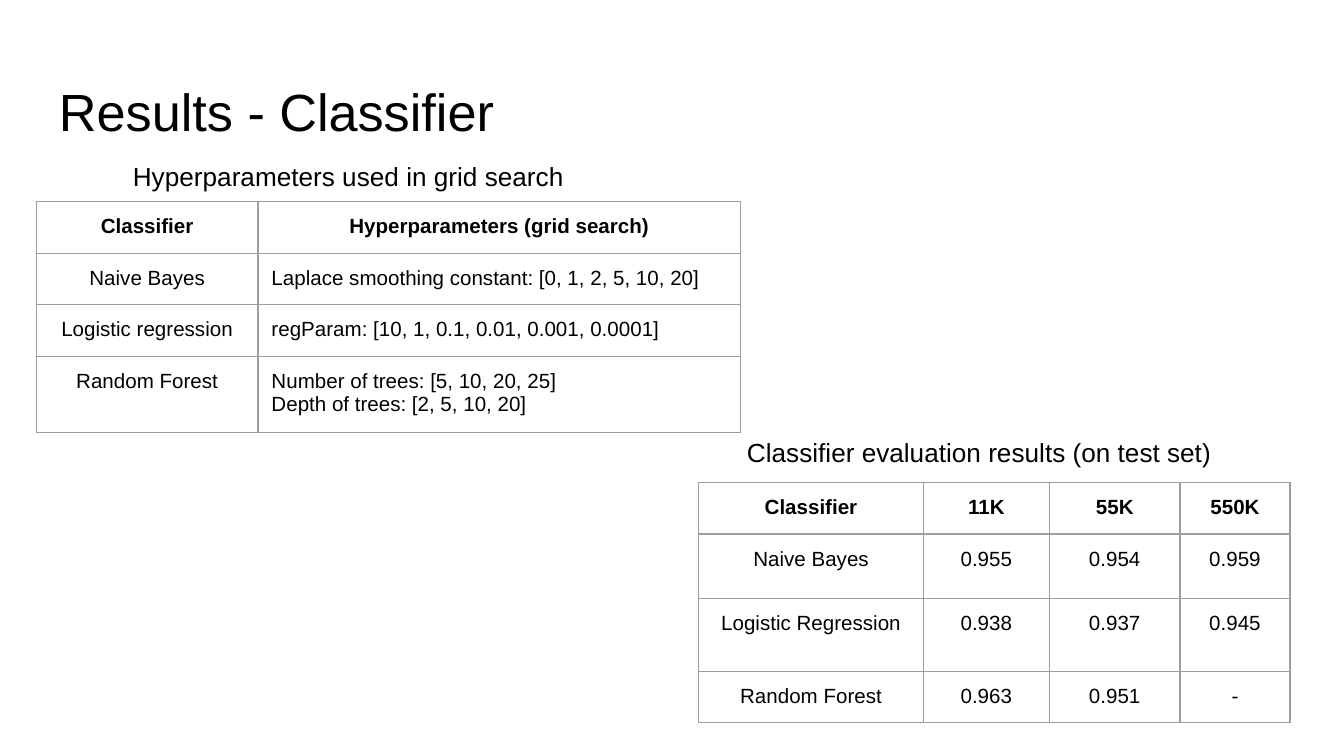
from lxml import etree
from pptx import Presentation
from pptx import util as u
from pptx.dml.color import RGBColor
from pptx.enum import text
from pptx.oxml.ns import qn

BLACK = RGBColor(0x00, 0x00, 0x00)
GREY = RGBColor(0x9E, 0x9E, 0x9E)

COLUMNS, ROWS = 100, 56.25
GRID_UNIT = u.Inches(0.1)


def grid(count):
    return u.Emu(round(count * GRID_UNIT))


class ResultsSlide:
    """Adds elements in one style; every length counts grid columns or rows."""

    font_name = "Arial"
    inset = grid(1)
    title_size, caption_size, cell_size = 28, 14, 11
    border_width = u.Pt(0.75)

    def __init__(self, deck):
        self.slide = deck.slides.add_slide(deck.slide_layouts[6])

    def style(self, paragraph, size, bold=False, align=text.PP_ALIGN.LEFT):
        paragraph.alignment = align
        for run in paragraph.runs:
            run.font.name = self.font_name
            run.font.size = u.Pt(size)
            run.font.bold = bold
            run.font.color.rgb = BLACK

    def label(self, wording, left, top, width, height, size):
        box = self.slide.shapes.add_textbox(*map(grid, (left, top, width, height)))
        frame = box.text_frame
        frame.word_wrap = True
        frame.margin_left = frame.margin_right = self.inset
        frame.margin_top = frame.margin_bottom = self.inset
        frame.text = wording
        self.style(frame.paragraphs[0], size)

    def title(self, wording, *place):
        self.label(wording, *place, self.title_size)

    def caption(self, wording, *place):
        self.label(wording, *place, self.caption_size)

    def outline(self, cell):
        """Draw all four borders; they must come before the fill in tcPr."""
        properties = cell._tc.get_or_add_tcPr()
        for position, side in enumerate(("a:lnL", "a:lnR", "a:lnT", "a:lnB")):
            border = etree.Element(qn(side), w=str(self.border_width))
            fill = etree.SubElement(border, qn("a:solidFill"))
            etree.SubElement(fill, qn("a:srgbClr"), val=str(GREY))
            properties.insert(position, border)

    def table(self, records, left, top, height, widths, heights, left_aligned=()):
        """Fill a table; rows grow from their least heights to fit the text.

        Body cells are centred except in left_aligned columns.
        """
        frame = self.slide.shapes.add_table(
            len(records), len(widths),
            *map(grid, (left, top, sum(widths), height)))
        table = frame.table
        table.horz_banding = table.first_row = False
        for column, width in zip(table.columns, widths):
            column.width = grid(width)
        for row, least in zip(table.rows, heights):
            row.height = grid(least)
        frame.height = grid(height)
        for r, record in enumerate(records):
            for c, wording in enumerate(record):
                cell = table.cell(r, c)
                cell.margin_left = cell.margin_right = self.inset
                cell.margin_top = cell.margin_bottom = self.inset
                cell.fill.background()
                self.outline(cell)
                cell.text_frame.text = wording
                is_header = r == 0
                centred = is_header or c not in left_aligned
                align = text.PP_ALIGN.CENTER if centred else text.PP_ALIGN.LEFT
                for paragraph in cell.text_frame.paragraphs:
                    self.style(paragraph, self.cell_size, is_header, align)


HYPERPARAMETERS = [
    ("Classifier", "Hyperparameters (grid search)"),
    ("Naive Bayes", "Laplace smoothing constant: [0, 1, 2, 5, 10, 20]"),
    ("Logistic regression", "regParam: [10, 1, 0.1, 0.01, 0.001, 0.0001]"),
    ("Random Forest",
     "Number of trees: [5, 10, 20, 25]\nDepth of trees: [2, 5, 10, 20]"),
]

EVALUATION = [
    ("Classifier", "11K", "55K", "550K"),
    ("Naive Bayes", "0.955", "0.954", "0.959"),
    ("Logistic Regression", "0.938", "0.937", "0.945"),
    ("Random Forest", "0.963", "0.951", "-"),
]


def main():
    deck = Presentation()
    deck.slide_width, deck.slide_height = grid(COLUMNS), grid(ROWS)

    results = ResultsSlide(deck)
    results.title("Results - Classifier", 3.4, 4.9, 93.2, 6.3)
    results.table(HYPERPARAMETERS, 2.7, 15, 17.2, widths=(16.5, 35.9),
                  heights=(3.5, 3.5, 3.5, 5.2), left_aligned=(1,))
    results.table(EVALUATION, 52, 35.9, 17.9, widths=(16.7, 9.4, 9.7, 8.2),
                  heights=(3.7, 4.8, 5.4, 0))
    results.caption("Hyperparameters used in grid search", 8.9, 10.9, 43.8, 2.8)
    results.caption("Classifier evaluation results (on test set)",
                    54.6, 31.5, 42.3, 4.6)

    deck.save("out.pptx")


if __name__ == "__main__":
    main()
